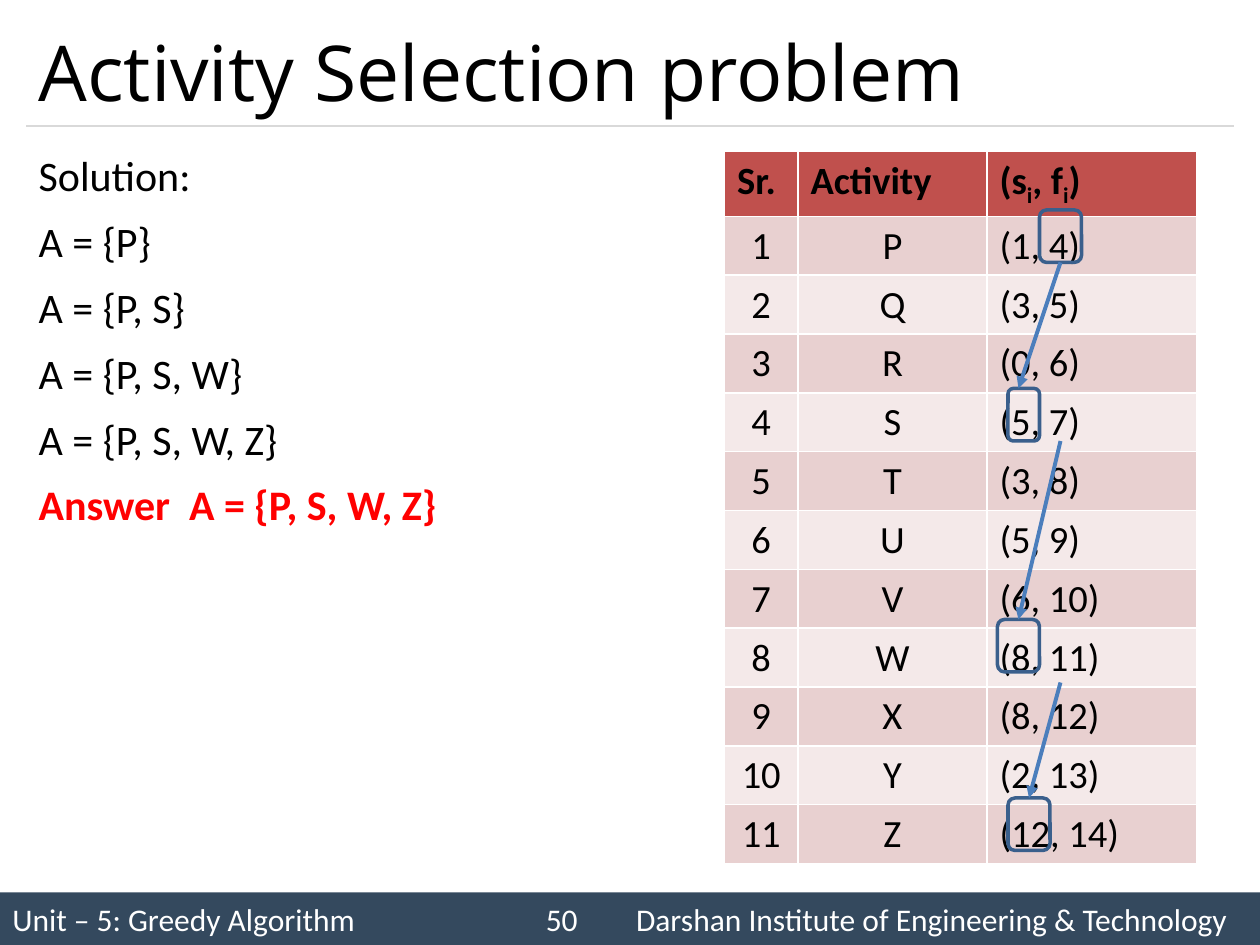
from lxml.etree import SubElement
from pptx import Presentation
from pptx.dml.color import RGBColor
from pptx.enum.shapes import MSO_CONNECTOR, MSO_SHAPE
from pptx.enum.text import MSO_ANCHOR, PP_ALIGN
from pptx.oxml.ns import qn
from pptx.util import Pt

BLACK = RGBColor(0x00, 0x00, 0x00)
WHITE = RGBColor(0xFF, 0xFF, 0xFF)
RED = RGBColor(0xFF, 0x00, 0x00)
NAVY = RGBColor(0x34, 0x49, 0x5E)
RULE_GRAY = RGBColor(0xD9, 0xD9, 0xD9)
HEADER_RED = RGBColor(0xC0, 0x50, 0x4D)
BANDS = [RGBColor(0xE8, 0xD0, 0xD0), RGBColor(0xF4, 0xE9, 0xE9)]
MARK_BLUE = RGBColor(0x3A, 0x5F, 0x8C)
ARROW_BLUE = RGBColor(0x4B, 0x7E, 0xBC)


def write(frame, text, size=24, font="Calibri", color=BLACK, bold=False,
          align=PP_ALIGN.LEFT, spacing=None, before=0, tabs=(), new=False):
    """Write one paragraph; text between | marks is set as subscript."""
    paragraph = frame.add_paragraph() if new else frame.paragraphs[0]
    if tabs:
        tab_list = SubElement(paragraph._p.get_or_add_pPr(), qn("a:tabLst"))
        for position in tabs:
            SubElement(tab_list, qn("a:tab"), pos=str(Pt(position)), algn="l")
    paragraph.alignment = align
    paragraph.space_before = Pt(before)
    if spacing:
        paragraph.line_spacing = spacing
    for i, piece in enumerate(text.split("|")):
        run = paragraph.add_run()
        run.text = piece
        run.font.size = Pt(size)
        run.font.name = font
        run.font.bold = bold
        run.font.color.rgb = color
        if i % 2:
            run._r.get_or_add_rPr().set("baseline", "-25000")


def add_line(x1, y1, x2, y2, color, width):
    line = slide.shapes.add_connector(MSO_CONNECTOR.STRAIGHT, Pt(x1), Pt(y1), Pt(x2), Pt(y2))
    line.line.color.rgb = color
    line.line.width = Pt(width)
    SubElement(line._element.spPr, qn("a:effectLst"))
    return line


prs = Presentation()
prs.slide_width, prs.slide_height = Pt(720), Pt(540)
slide = prs.slides.add_slide(prs.slide_layouts[6])

# Footer bar
footer = slide.shapes.add_shape(MSO_SHAPE.RECTANGLE, Pt(0), Pt(510), Pt(720), Pt(30))
footer.shadow.inherit = False
footer.fill.solid()
footer.fill.fore_color.rgb = NAVY
footer.line.fill.background()
footer.text_frame.vertical_anchor = MSO_ANCHOR.MIDDLE
write(footer.text_frame,
      "Unit – 5: Greedy Algorithm\t50\tDarshan Institute of Engineering & Technology",
      size=18, color=WHITE, tabs=(304.8, 356.4))

# Title and rule
add_line(15, 72, 705, 72, RULE_GRAY, 0.75)
title = slide.shapes.add_textbox(Pt(15), Pt(9), Pt(690), Pt(63)).text_frame
title.word_wrap = True
title.vertical_anchor = MSO_ANCHOR.MIDDLE
write(title, "Activity Selection problem", size=44, font="Open Sans")

# Solution steps
steps = ["Solution:", "A = {P}", "A = {P, S}", "A = {P, S, W}", "A = {P, S, W, Z}",
         "Answer  A = {P, S, W, Z}"]
solution = slide.shapes.add_textbox(Pt(15), Pt(78), Pt(690), Pt(420)).text_frame
solution.word_wrap = True
for i, step in enumerate(steps):
    answer = step.startswith("Answer")
    write(solution, step, color=RED if answer else BLACK, bold=answer,
          align=PP_ALIGN.JUSTIFY, spacing=1.14, before=4.8 if i else 0, new=i > 0)

# Activity table
times = ["(1, 4)", "(3, 5)", "(0, 6)", "(5, 7)", "(3, 8)", "(5, 9)", "(6, 10)",
         "(8, 11)", "(8, 12)", "(2, 13)", "(12, 14)"]
rows = [("Sr.", "Activity", "(s|i|, f|i|)")]
rows += [(str(n), name, time) for n, (name, time) in enumerate(zip("PQRSTUVWXYZ", times), 1)]
activities = slide.shapes.add_table(len(rows), 3, Pt(414), Pt(86.4), Pt(270), Pt(403.2)).table
for column, width in zip(activities.columns, (42, 108, 120)):
    column.width = Pt(width)
for r, row in enumerate(rows):
    for c, text in enumerate(row):
        cell = activities.cell(r, c)
        cell.fill.solid()
        cell.fill.fore_color.rgb = BANDS[(r - 1) % 2] if r else HEADER_RED
        write(cell.text_frame, text, size=22, bold=r == 0,
              align=PP_ALIGN.CENTER if r and c < 2 else PP_ALIGN.LEFT)

# Marks around the compared times
marks = []
for left, top, width in [(594, 120, 24), (576, 222, 18), (570, 354, 24), (576, 456, 24)]:
    mark = slide.shapes.add_shape(MSO_SHAPE.ROUNDED_RECTANGLE,
                                  Pt(left), Pt(top), Pt(width), Pt(30))
    mark.shadow.inherit = False
    mark.fill.background()
    mark.line.color.rgb = MARK_BLUE
    mark.line.width = Pt(2)
    marks.append(mark)

# Arrows from a finish time to the next start time
arrows = []
for start_y, end_x, end_y in [(150, 582, 222), (252, 582, 354), (390, 588, 456)]:
    arrow = add_line(606, start_y, end_x, end_y, ARROW_BLUE, 2.25)
    SubElement(arrow.line._get_or_add_ln(), qn("a:tailEnd"), type="triangle")
    arrows.append(arrow)
arrows[0].begin_connect(marks[0], 2)
arrows[1].end_connect(marks[2], 0)
arrows[2].end_connect(marks[3], 0)

prs.save("out.pptx")
